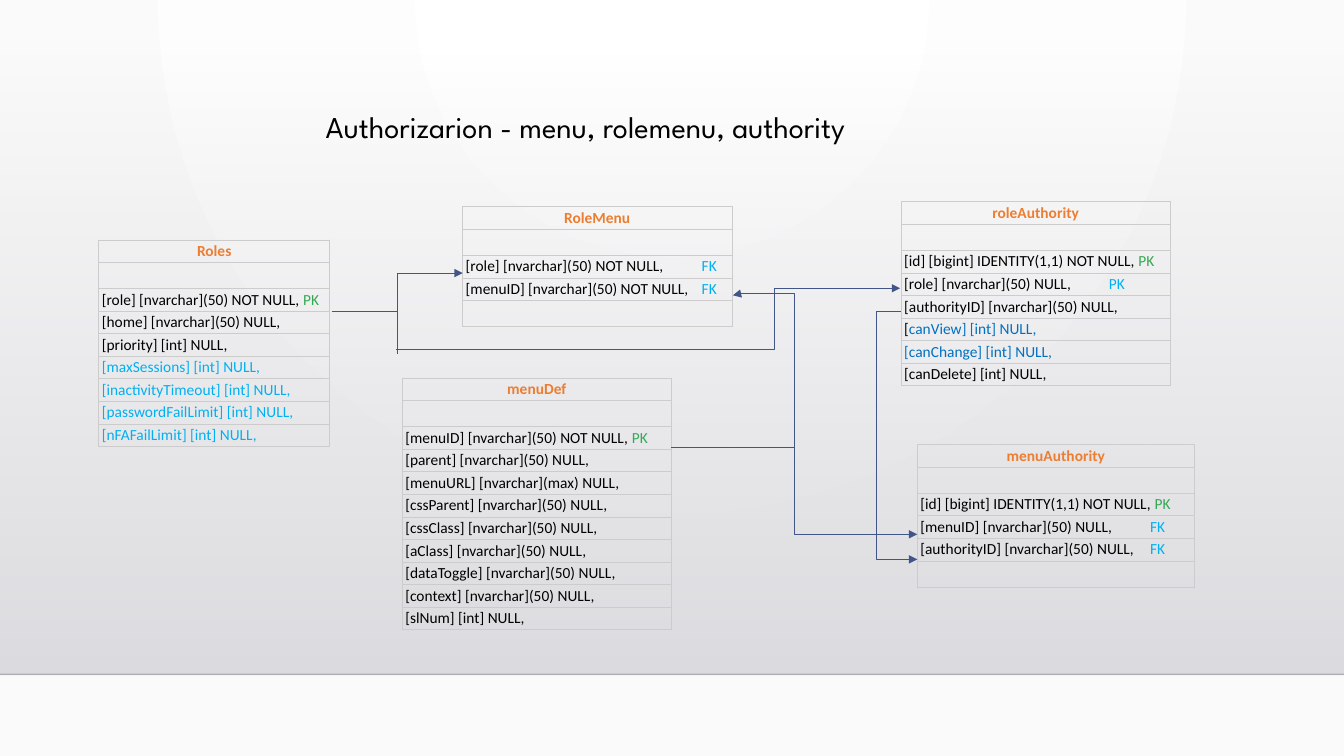
from dataclasses import dataclass

from lxml.etree import SubElement
from pptx import Presentation
from pptx.dml.color import RGBColor
from pptx.enum.shapes import MSO_CONNECTOR, MSO_SHAPE
from pptx.enum.text import MSO_ANCHOR, MSO_AUTO_SIZE, PP_ALIGN
from pptx.oxml import parse_xml
from pptx.oxml.ns import nsdecls, qn
from pptx.util import Inches, Pt


@dataclass(frozen=True)
class Theme:
    title_font: str = "League Spartan"
    body_font: str = "Calibri"
    title_size: float = 21.6
    body_size: float = 11
    black: str = "000000"
    orange: str = "ED7D31"
    green: str = "34A853"
    sky: str = "00B0F0"
    blue: str = "0070C0"
    border: str = "CCCCCC"
    wire: str = "415588"
    floor_top: str = "DCDCE0"
    floor_bottom: str = "DEDEE2"
    floor_edge: str = "000001"
    back_inner: str = "FFFFFF"
    back_outer: str = "FAFAFA"


T = Theme()
WIDTH, HEIGHT = Inches(13.33), Inches(7.5)
FIELD_ROW, BLANK_ROW = Inches(0.22), Inches(0.26)
INSET_X, INSET_Y = Inches(0.03), Pt(1.25)


def x(percent):
    return round(WIDTH * percent / 100)


def y(percent):
    return round(HEIGHT * percent / 100)


def add_run(p, text, color=T.black, size=T.body_size, font=T.body_font, bold=False):
    r = p.add_run()
    r.text = text
    r.font.size, r.font.name, r.font.bold = Pt(size), font, bold
    r.font.color.rgb = RGBColor.from_string(color)


def gradient(stops, direction):
    """Gradient fill from (position, colour, opacity) stops, in percent."""
    gs = "".join(
        f'<a:gs pos="{pos * 1000}"><a:srgbClr val="{color}">'
        f'<a:alpha val="{opacity * 1000}"/></a:srgbClr></a:gs>'
        for pos, color, opacity in stops)
    return f'<a:gradFill {nsdecls("a")} rotWithShape="1"><a:gsLst>{gs}</a:gsLst>{direction}</a:gradFill>'


def set_background(s):
    fill = gradient(
        [(0, T.back_inner, 100), (100, T.back_outer, 100)],
        '<a:path path="circle"><a:fillToRect l="43000" t="0" r="43000" b="100000"/></a:path>')
    s.element.cSld.insert(0, parse_xml(
        f'<p:bg {nsdecls("p", "a")}><p:bgPr>{fill}<a:effectLst/></p:bgPr></p:bg>'))


def add_floor(s):
    """Shaded area and its lower edge, placed behind everything else."""
    floor = s.shapes.add_shape(MSO_SHAPE.RECTANGLE, 0, y(6.8), WIDTH, y(82.4))
    floor.shadow.inherit = False
    floor.line.fill.background()
    floor.element.spPr.find(qn("a:prstGeom")).addnext(parse_xml(gradient(
        [(0, T.floor_top, 0), (100, T.floor_bottom, 100)], '<a:lin ang="5400000" scaled="0"/>')))
    edge = add_wire(s, (0, 89.2), (100, 89.2), color=T.floor_edge, width=1, arrow=False)
    SubElement(next(edge.element.iter(qn("a:srgbClr"))), qn("a:alpha"), val="20000")
    for shape in (edge, floor):
        s.shapes.element.insert(2, shape.element)


def add_title(s, text):
    title = s.shapes.title
    title.left, title.top, title.width, title.height = x(10.5), y(14.27), x(66.68), y(4.93)
    tf = title.text_frame
    tf.auto_size, tf.word_wrap = MSO_AUTO_SIZE.NONE, True
    tf.vertical_anchor = MSO_ANCHOR.BOTTOM
    tf.margin_left = tf.margin_right = Inches(0.1)
    tf.margin_top, tf.margin_bottom = Inches(0.05), 0
    p = tf.paragraphs[0]
    p.alignment, p.line_spacing = PP_ALIGN.CENTER, 0.9
    add_run(p, text, size=T.title_size, font=T.title_font)


def format_cell(cell):
    cell.fill.background()
    cell.vertical_anchor = MSO_ANCHOR.BOTTOM
    cell.margin_left = cell.margin_right = INSET_X
    cell.margin_top = cell.margin_bottom = INSET_Y
    tcPr = cell._tc.get_or_add_tcPr()
    for i, side in enumerate(("lnL", "lnR", "lnT", "lnB")):
        tcPr.insert(i, parse_xml(
            f'<a:{side} {nsdecls("a")} w="{Pt(0.6)}"><a:solidFill>'
            f'<a:srgbClr val="{T.border}"/></a:solidFill></a:{side}>'))


def add_entity(s, name, left, top, width, rows, key_tab=0):
    """Database table: name, blank row, then rows of (text, colour) runs."""
    rows = [[], *rows]
    heights = [FIELD_ROW] + [FIELD_ROW if runs else BLANK_ROW for runs in rows]
    frame = s.shapes.add_table(len(heights), 1, x(left), y(top), x(width), sum(heights))
    table = frame.table
    table.first_row = table.horz_banding = False
    for i, height in enumerate(heights):
        table.rows[i].height = height
        format_cell(table.cell(i, 0))
    p = table.cell(0, 0).text_frame.paragraphs[0]
    p.alignment = PP_ALIGN.CENTER
    add_run(p, name, color=T.orange, bold=True)
    for i, runs in enumerate(rows, 1):
        p = table.cell(i, 0).text_frame.paragraphs[0]
        for text, color in runs:
            add_run(p, text, color=color)
        if not runs:
            SubElement(p._p, qn("a:endParaRPr"), sz=str(T.body_size * 100))
        elif any("\t" in text for text, _ in runs):
            tabs = SubElement(p._p.get_or_add_pPr(), qn("a:tabLst"))
            SubElement(tabs, qn("a:tab"), pos=str(Inches(key_tab)), algn="l")


def add_wire(s, start, end, bend=None, upright=False, arrow=True, color=T.wire, width=0.75):
    """Straight line, or an elbow turning at share bend; upright elbows leave vertically."""
    x1, y1, x2, y2 = x(start[0]), y(start[1]), x(end[0]), y(end[1])
    if upright:
        cx, cy, dx, dy = (x1 + x2) // 2, (y1 + y2) // 2, y1 - y2, x2 - x1
        x1, y1, x2, y2 = cx - dx // 2, cy - dy // 2, cx + dx // 2, cy + dy // 2
    kind = MSO_CONNECTOR.STRAIGHT if bend is None else MSO_CONNECTOR.ELBOW
    wire = s.shapes.add_connector(kind, x1, y1, x2, y2)
    wire.line.width = Pt(width)
    wire.line.color.rgb = RGBColor.from_string(color)
    spPr = wire.element.spPr
    if upright:
        spPr.find(qn("a:xfrm")).set("rot", str(270 * 60000))
    if bend is not None:
        avLst = spPr.find(qn("a:prstGeom")).get_or_add_avLst()
        SubElement(avLst, qn("a:gd"), name="adj1", fmla=f"val {round(bend * 100000)}")
    if arrow:
        SubElement(spPr.find(qn("a:ln")), qn("a:tailEnd"), type="triangle")
    SubElement(spPr, qn("a:effectLst"))
    return wire


def field(text, color=T.black):
    return [(text, color)]


def primary(text):
    return [(text + " ", T.black), ("PK", T.green)]


def keyed(text, key="FK"):
    return [(text + "\t", T.black), (key, T.sky)]


def add_entities(s):
    names = ("parent", "menuURL", "cssParent", "cssClass", "aClass", "dataToggle", "context")
    add_entity(s, "menuDef", 29.93, 50, 20.03, [
        primary("[menuID] [nvarchar](50) NOT NULL,"),
        *(field(f"[{n}] [nvarchar]({'max' if n == 'menuURL' else 50}) NULL,") for n in names),
        field("[slNum] [int] NULL,")])
    add_entity(s, "RoleMenu", 34.43, 27.33, 20.03, [
        keyed("[role] [nvarchar](50) NOT NULL,"),
        keyed("[menuID] [nvarchar](50) NOT NULL,"), []], key_tab=2.34)
    add_entity(s, "menuAuthority", 68.25, 58.8, 20.63, [
        primary("[id] [bigint] IDENTITY(1,1) NOT NULL,"),
        keyed("[menuID] [nvarchar](50) NULL,"),
        keyed("[authorityID] [nvarchar](50) NULL,"), []], key_tab=2.28)
    add_entity(s, "roleAuthority", 67.05, 26.67, 20.03, [
        primary("[id] [bigint] IDENTITY(1,1) NOT NULL,"),
        keyed("[role] [nvarchar](50) NULL,", "PK"),
        field("[authorityID] [nvarchar](50) NULL,"),
        field("[") + field("canView] [int] NULL,", T.blue),
        field("[canChange] [int] NULL,", T.blue),
        field("[canDelete] [int] NULL,")], key_tab=2.03)
    limits = ("maxSessions", "inactivityTimeout", "passwordFailLimit", "nFAFailLimit")
    add_entity(s, "Roles", 7.35, 31.73, 17.18, [
        primary("[role] [nvarchar](50) NOT NULL,"),
        field("[home] [nvarchar](50) NULL,"),
        field("[priority] [int] NULL,"),
        *(field(f"[{n}] [int] NULL,", T.sky) for n in limits)])


def add_relations(s):
    add_wire(s, (24.68, 41.2), (34.43, 36.13), bend=0.5)
    add_wire(s, (49.95, 59.2), (68.25, 70.67), bend=0.5)
    add_wire(s, (65.18, 41.2), (68.25, 74), bend=1, upright=True)
    add_wire(s, (65.18, 41.2), (67.05, 41.2), arrow=False)
    add_wire(s, (59.1, 59.2), (54.53, 39.07), bend=1.01, upright=True)
    add_wire(s, (29.48, 46.27), (66.98, 38.13), bend=0.75)
    add_wire(s, (29.55, 41.2), (29.55, 46.8), arrow=False)


def main():
    prs = Presentation()
    prs.slide_width, prs.slide_height = WIDTH, HEIGHT
    s = prs.slides.add_slide(prs.slide_layouts[5])
    set_background(s)
    add_floor(s)
    add_title(s, "Authorizarion - menu, rolemenu, authority ")
    add_entities(s)
    add_relations(s)
    prs.save("out.pptx")


if __name__ == "__main__":
    main()
